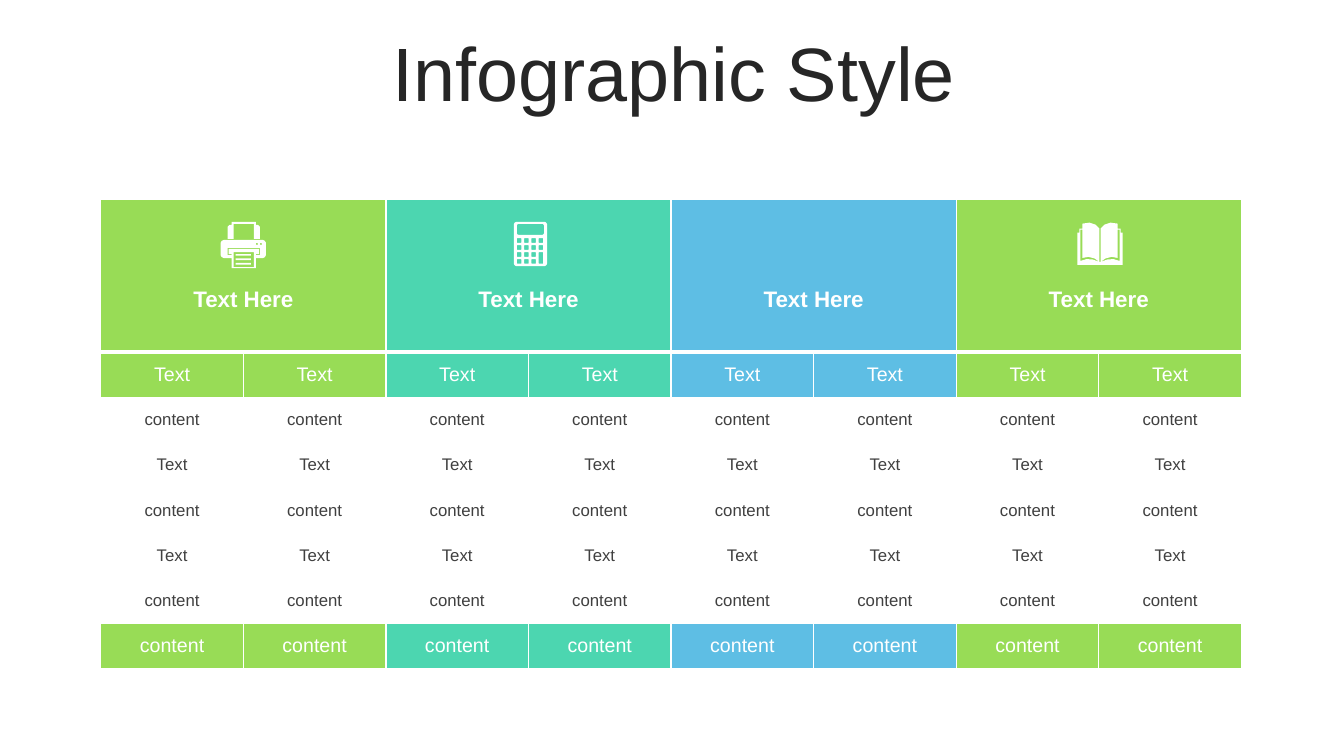
import math

from lxml import etree
from pptx import Presentation
from pptx import util as u
from pptx.dml.color import RGBColor
from pptx.enum import text
from pptx.oxml import ns

FONT = "Arial"
WHITE, DARK, GREY = "FFFFFF", "262626", "404040"
GREEN, TEAL, BLUE = "98DC56", "4CD6B0", "5EBEE4"
GROUP_COLOURS = [GREEN, TEAL, BLUE, GREEN]
ICON_UNIT = u.Cm(0.0254)  # icon outlines are drawn on this grid
FINENESS = 10  # steps within one icon unit


def rgb(colour):
    return RGBColor.from_string(colour)


def style(paragraph, size, colour, bold=False):
    paragraph.alignment = text.PP_ALIGN.CENTER
    font = paragraph.font
    font.name, font.size, font.bold = FONT, u.Pt(size), bold
    font.color.rgb = rgb(colour)


def add_title(slide, wording):
    title = slide.shapes.add_textbox(u.Cm(0.9), u.Cm(0.93), u.Cm(32.16), u.Cm(2))
    frame = title.text_frame
    frame.word_wrap = True
    frame.vertical_anchor = text.MSO_ANCHOR.MIDDLE
    line = frame.paragraphs[0]
    line.text = wording
    line.line_spacing, line.space_before = 0.9, u.Pt(10)
    style(line, 54, DARK)


# Table
def add_borders(cell, bottom=1):
    properties = cell._tc.get_or_add_tcPr()
    for side, width in (("L", 1), ("R", 1), ("T", 1), ("B", bottom)):
        border = etree.SubElement(properties, ns.qn("a:ln" + side), w=str(u.Pt(width)))
        fill = etree.SubElement(border, ns.qn("a:solidFill"))
        etree.SubElement(fill, ns.qn("a:srgbClr"), val=WHITE)


def fill_cell(cell, wording, size, colour, background, bold=False):
    cell.fill.solid()
    cell.fill.fore_color.rgb = rgb(background)
    cell.vertical_anchor = text.MSO_ANCHOR.MIDDLE
    line = cell.text_frame.paragraphs[0]
    line.text = wording
    style(line, size, colour, bold)


def add_comparison(slide):
    body_rows = ["content", "Text", "content", "Text", "content"]
    rows = [("Text", 14, True)]
    rows += [(wording, 12, False) for wording in body_rows]
    rows += [("content", 14, True)]
    columns = 2 * len(GROUP_COLOURS)
    comparison = slide.shapes.add_table(
        len(rows) + 1, columns, u.Cm(2.54), u.Cm(5.03), u.Cm(28.75), u.Cm(11.82)
    ).table
    comparison.first_row = comparison.horz_banding = False
    for row in comparison.rows:
        row.height = u.Cm(1.14)
    comparison.rows[0].height = u.Cm(3.84)

    # Group headings, with room for an icon above the words
    for group, colour in enumerate(GROUP_COLOURS):
        heading, spanned = (comparison.cell(0, 2 * group + i) for i in (0, 1))
        heading.merge(spanned)
        add_borders(heading, bottom=3)
        add_borders(spanned, bottom=3)
        heading.margin_top = u.Cm(1.35)
        fill_cell(heading, "Text Here", 16, WHITE, colour, bold=True)

    # Subheadings, body and closing row
    for r, (wording, size, coloured) in enumerate(rows, start=1):
        for c in range(columns):
            cell = comparison.cell(r, c)
            add_borders(cell)
            background = GROUP_COLOURS[c // 2] if coloured else WHITE
            fill_cell(cell, wording, size, WHITE if coloured else GREY, background)


# Icons
def box(left, top, right, bottom, radius=0.0):
    """Corner points of a rectangle, rounded when a radius is given."""
    if not radius:
        return [(left, top), (right, top), (right, bottom), (left, bottom)]
    centres = [
        (right - radius, bottom - radius), (left + radius, bottom - radius),
        (left + radius, top + radius), (right - radius, top + radius),
    ]
    return [
        (x + radius * math.cos(math.radians(angle)), y + radius * math.sin(math.radians(angle)))
        for quarter, (x, y) in enumerate(centres)
        for angle in range(90 * quarter, 90 * quarter + 91, 15)
    ]


def add_icon(slide, left, top, outlines):
    scaled = [[(x * FINENESS, y * FINENESS) for x, y in outline] for outline in outlines]
    builder = slide.shapes.build_freeform(*scaled[0][0], scale=ICON_UNIT / FINENESS)
    for outline in scaled:
        builder.move_to(*outline[0])
        builder.add_line_segments(outline[1:], close=True)
    icon = builder.convert_to_shape(left, top)
    icon.shadow.inherit = False
    icon.fill.solid()
    icon.fill.fore_color.rgb = rgb(WHITE)
    icon.line.fill.background()


def printer():
    sheet = [
        (11, 0), (35, 0), (35, 3), (37, 3), (39, 5), (39, 17), (33, 17),
        (33, 2), (13, 2), (13, 17), (7, 17), (7, 5), (9, 3), (11, 3),
    ]
    body = [
        (3, 18), (42, 18), (44, 19), (45, 21), (45, 33), (44, 35), (42, 36), (35, 36),
        (35, 46), (11, 46), (11, 36), (3, 36), (1, 35), (0, 33), (0, 21), (1, 19),
    ]
    slot = [
        (7, 26), (39, 26), (39, 33), (35, 33), (35, 32), (38, 32),
        (38, 27), (8, 27), (8, 32), (11, 32), (11, 33), (7, 33),
    ]
    lights = [box(x, 21, x + 2, 23, 1) for x in (35, 39)]
    print_lines = [box(15, y, 30, y + 1.6) for y in (32, 36.4, 40.8)]
    return [sheet, body, slot, box(13, 30, 33, 45), *lights, *print_lines]


def calculator():
    keys = []
    for column in range(4):
        for row in range(4):
            if column == 3 and row == 3:
                continue
            x, y = 3 + 7.2 * column, 16.3 + 6.9 * row
            tall = column == 3 and row == 2
            keys.append(box(x, y, x + 4.6, y + (11.5 if tall else 4.6), 0.6))
    return [box(0, 0, 33, 44, 3), box(3, 2, 30, 13, 2), *keys]


def book():
    right_page = [
        (23, 39), (30, 36.5), (36, 36.2), (42, 38), (42, 7), (40, 7), (40, 35),
        (34, 34), (28, 35.5), (23, 39), (23, 6), (27, 2), (33, 0), (40, 1),
        (40, 6), (43, 6), (43, 10), (45, 10), (45, 42),
    ]
    left_page = [(45 - x, y) for x, y in reversed(right_page)]
    return [right_page + left_page]


def main():
    deck = Presentation()
    deck.slide_width, deck.slide_height = u.Cm(33.87), u.Cm(19.05)
    slide = deck.slides.add_slide(deck.slide_layouts[6])
    add_title(slide, "Infographic Style")
    add_comparison(slide)
    add_icon(slide, u.Cm(12.95), u.Cm(5.59), calculator())
    add_icon(slide, u.Cm(5.56), u.Cm(5.59), printer())
    add_icon(slide, u.Cm(27.15), u.Cm(5.61), book())
    deck.save("out.pptx")


if __name__ == "__main__":
    main()
